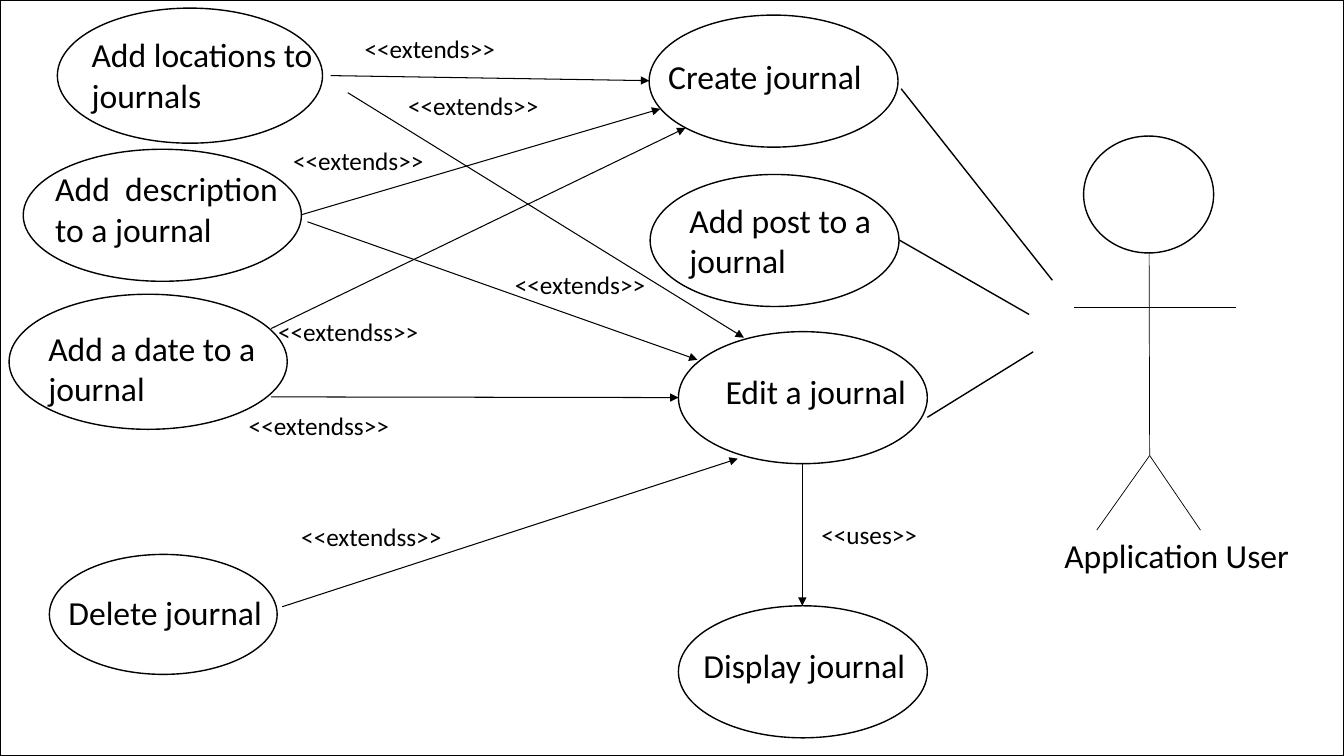
"""Draw a use case diagram of a journal application."""
from lxml import etree
from pptx import Presentation
from pptx import util as u
from pptx.dml.color import RGBColor
from pptx.enum import shapes, text
from pptx.oxml.ns import qn

INK = "000000"
FONT = "Calibri"
SLIDE_SIZE = (960, 540)
RIGHT_OVAL = (177.8, 94.3)

USE_CASES = [
    ("Add locations to journals", (41, 5.8, 189.4, 96.5), (58.3, 20.9, 177.8, 65.5)),
    ("Add  description to a journal", (16.6, 106.6, 198.7, 94.3), (32.4, 116.6, 177.8, 65.5)),
    ("Add a date to a journal", (6.5, 210.2, 198.7, 96.5), (27.4, 230.4, 177.8, 65.5)),
    ("Delete journal", (35.3, 396, 162.7, 85.7), (41.8, 419, 177.8, 36)),
    ("Create journal", (463.7, 10.8, *RIGHT_OVAL), (470.2, 36.7, 177.8, 36)),
    ("Add post to a journal", (464.4, 124.6, *RIGHT_OVAL), (485.3, 139, 159.8, 65.5)),
    ("Edit a journal", (484.6, 236.9, *RIGHT_OVAL), (511.2, 261.4, 194.4, 36)),
    ("Display journal", (484.6, 432.7, *RIGHT_OVAL), (495.4, 457.2, 194.4, 36)),
]

RELATION_LABELS = [
    ("<<extends>>", 253.4, 20.2, 112.3),
    ("<<extends>>", 284.4, 61.2, 112.3),
    ("<<extends>>", 202.3, 100.1, 112.3),
    ("<<extends>>", 360.7, 188.6, 112.3),
    ("<<extendss>>", 191.5, 222.5, 144.7),
    ("<<extendss>>", 170.6, 289.4, 144.7),
    ("<<extendss>>", 208.1, 368.6, 139.7),
    ("<<uses>>", 579.6, 367.2, 112.3),
]

RELATION_ARROWS = [
    (236.2, 54, 463.7, 57.6),
    (248.4, 66.2, 531.4, 241.2),
    (215.3, 153.4, 471.6, 77.8),
    (219.6, 158.4, 498.2, 257),
    (193.7, 234.7, 489.6, 91.4),
    (193.7, 283.5, 484.6, 284),
    (201.6, 433.4, 527, 327.6),
    (573.1, 331.2, 573.1, 432.7),
]

ACTOR_LINKS = [
    (643.7, 63.4, 751.7, 200.2),
    (642.2, 171.4, 735.1, 224.6),
    (662.4, 298.1, 738, 251.3),
]

ACTOR_HEAD = (774, 97.2, 92.9, 83.5)
ACTOR_LIMBS = [
    (820.8, 180.7, 821.2, 325.4),
    (882.7, 219.6, 767.5, 219.6),
    (857.5, 378.7, 821.2, 325.4),
    (783.4, 378.7, 821.2, 325.4),
]
ACTOR_NAME = ("Application User", (753.1, 378.7, 193, 36))


def color(hex_value):
    return RGBColor.from_string(hex_value)


def points(values):
    return [u.Pt(value) for value in values]


def add_outline(slide, kind, box):
    shape = slide.shapes.add_shape(kind, *points(box))
    shape.shadow.inherit = False
    shape.fill.background()
    shape.line.color.rgb = color(INK)
    shape.line.width = u.Pt(1)


def add_text(slide, words, box, size):
    frame = slide.shapes.add_textbox(*points(box)).text_frame
    frame.word_wrap = True
    frame.auto_size = text.MSO_AUTO_SIZE.SHAPE_TO_FIT_TEXT
    frame.text = words
    font = frame.paragraphs[0].runs[0].font
    font.name, font.size = FONT, u.Pt(size)
    font.color.rgb = color(INK)


def add_line(slide, ends, width, arrow=False):
    connector = slide.shapes.add_connector(shapes.MSO_CONNECTOR.STRAIGHT, *points(ends))
    connector.line.color.rgb = color(INK)
    connector.line.width = u.Pt(width)
    properties = connector.element.spPr
    if arrow:
        line = properties.find(qn("a:ln"))
        etree.SubElement(line, qn("a:tailEnd"), type="triangle")
    etree.SubElement(properties, qn("a:effectLst"))


def main():
    presentation = Presentation()
    presentation.slide_width, presentation.slide_height = points(SLIDE_SIZE)
    slide = presentation.slides.add_slide(presentation.slide_layouts[6])

    for words, oval, text_box in USE_CASES:
        add_outline(slide, shapes.MSO_SHAPE.OVAL, oval)
        add_text(slide, words, text_box, 24)

    add_outline(slide, shapes.MSO_SHAPE.OVAL, ACTOR_HEAD)
    for ends in ACTOR_LIMBS:
        add_line(slide, ends, 0.5)
    add_text(slide, *ACTOR_NAME, 24)

    for ends in ACTOR_LINKS:
        add_line(slide, ends, 1)
    for ends in RELATION_ARROWS:
        add_line(slide, ends, 0.75, arrow=True)
    for words, left, top, width in RELATION_LABELS:
        add_text(slide, words, (left, top, width, 28.8), 18)

    add_outline(slide, shapes.MSO_SHAPE.RECTANGLE, (0, 0, *SLIDE_SIZE))
    presentation.save("out.pptx")


if __name__ == "__main__":
    main()
